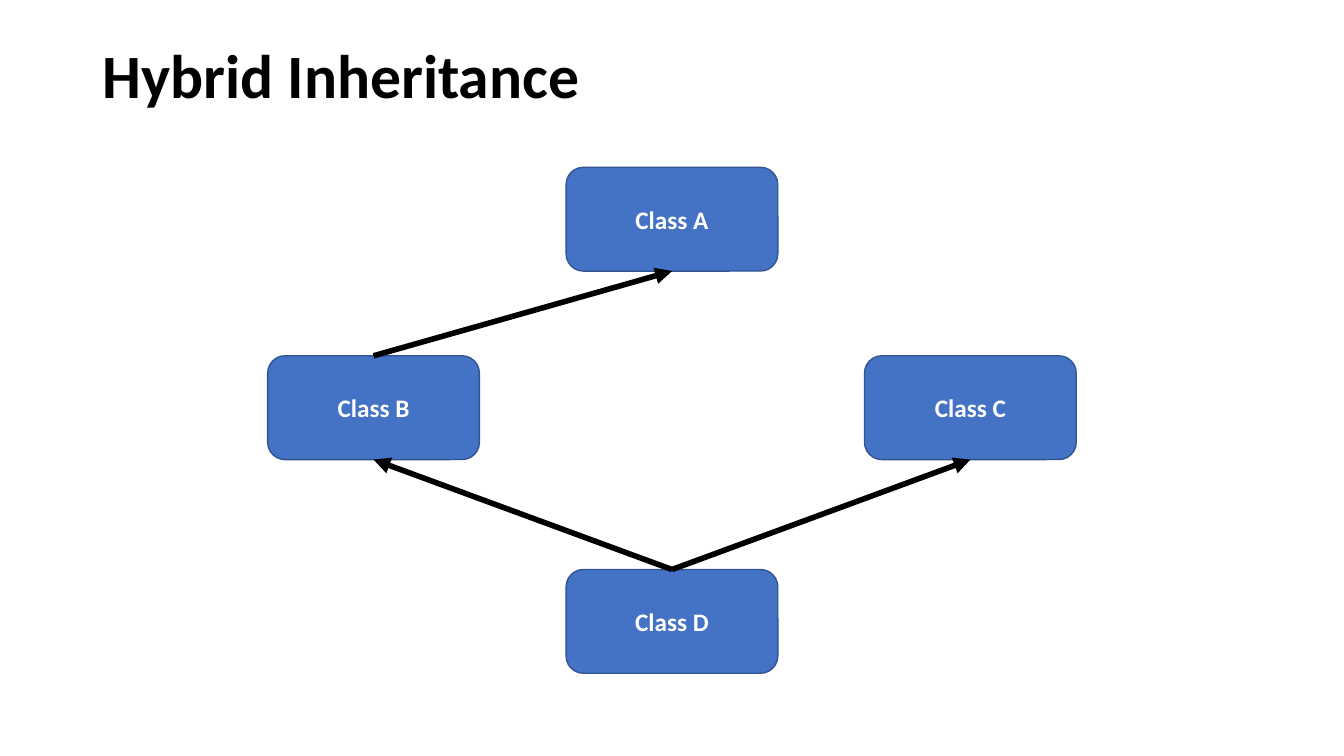
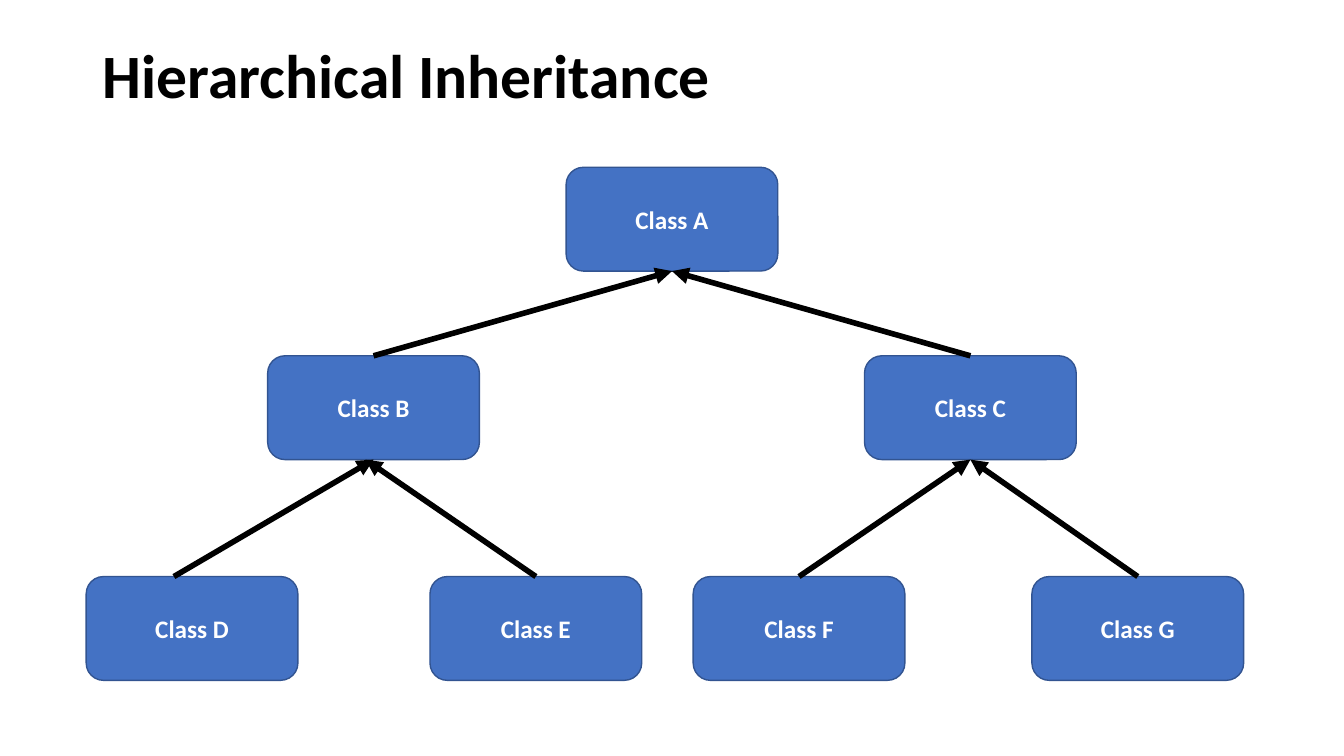
from dataclasses import dataclass

from lxml.etree import SubElement
from pptx import Presentation
from pptx.dml.color import RGBColor
from pptx.enum.shapes import MSO_CONNECTOR, MSO_SHAPE
from pptx.enum.text import MSO_ANCHOR, MSO_AUTO_SIZE, PP_ALIGN
from pptx.oxml.ns import qn
from pptx.util import Inches, Pt


@dataclass(frozen=True)
class Theme:
    face: str = "Calibri"
    ink: RGBColor = RGBColor.from_string("000000")
    fill: RGBColor = RGBColor.from_string("4472C4")
    edge: RGBColor = RGBColor.from_string("325491")
    light: RGBColor = RGBColor.from_string("FFFFFF")
    head: Pt = Pt(44)
    label: Pt = Pt(18)
    thin: Pt = Pt(1)
    thick: Pt = Pt(4)


THEME = Theme()
WIDE, HIGH = 13.33, 7.5
TITLE = (0.92, 0.4, 11.5, 1.45)
AREA = (0, 1.66, WIDE, 5.09)
NODE = (2.1, 1.03)
SIDE = 2.96  # from the middle to Class B and Class C
MID = 1.87  # from the top row to the second row

TOP = {"A": (0, 0), "B": (-SIDE, MID), "C": (SIDE, MID)}
LOW = 4.06
LEAVES = {"D": -4.76, "E": -1.35, "F": 1.26, "G": 4.62}

# Nodes: offset of the centre from the middle, top edge within the area.
# Links: child, parent, sideways shift of the start and of the tip.
SLIDES = [
    ("Hybrid Inheritance",
     TOP | {"D": (0, 3.99)},
     [("B", "A", 0, 0), ("D", "B", 0, 0), ("D", "C", 0, 0)]),
    ("Hierarchical Inheritance",
     TOP | {name: (x, LOW) for name, x in LEAVES.items()},
     [("B", "A", 0, 0), ("C", "A", 0, 0),
      ("D", "B", -0.18, 0), ("E", "B", 0, -0.08),
      ("F", "C", 0, 0), ("G", "C", 0, 0)]),
]


def style(target, values):
    for key, value in values.items():
        setattr(target, key, value)


def write(shape, text, size, color, frame, para):
    style(shape.text_frame, frame)
    shape.text_frame.text = text
    first = shape.text_frame.paragraphs[0]
    style(first, para)
    style(first.font, {"name": THEME.face, "size": size, "bold": True})
    first.font.color.rgb = color


def add_title(slide, text, box):
    title = slide.shapes.title
    places = map(Inches, box)
    style(title, dict(zip(("left", "top", "width", "height"), places)))
    write(title, text, THEME.head, THEME.ink,
          {"vertical_anchor": MSO_ANCHOR.TOP, "word_wrap": True,
           "auto_size": MSO_AUTO_SIZE.NONE},
          {"alignment": PP_ALIGN.LEFT, "line_spacing": 0.9})


def add_node(slide, text, box):
    node = slide.shapes.add_shape(MSO_SHAPE.ROUNDED_RECTANGLE,
                                  *map(Inches, box))
    node.shadow.inherit = False
    node.fill.solid()
    node.fill.fore_color.rgb = THEME.fill
    node.line.color.rgb = THEME.edge
    node.line.width = THEME.thin
    write(node, text, THEME.label, THEME.light,
          {"vertical_anchor": MSO_ANCHOR.MIDDLE, "word_wrap": True},
          {"alignment": PP_ALIGN.CENTER})
    return node


def add_arrow(slide, child, parent, start, tip):
    """Link the top of the child to the foot of the parent."""
    arrow = slide.shapes.add_connector(
        MSO_CONNECTOR.STRAIGHT,
        child.left + child.width // 2 + Inches(start), child.top,
        parent.left + parent.width // 2 + Inches(tip),
        parent.top + parent.height)
    if not start:
        arrow.begin_connect(child, 0)
    if not tip:
        arrow.end_connect(parent, 2)
    arrow.line.color.rgb = THEME.ink
    arrow.line.width = THEME.thick
    SubElement(arrow.line._get_or_add_ln(), qn("a:tailEnd"), type="triangle")
    SubElement(arrow._element.spPr, qn("a:effectLst"))


def add_tree(slide, nodes, links, box):
    left, top, width, _ = box
    wide, high = NODE
    edge = left + (width - wide) / 2
    shapes = {name: add_node(slide, f"Class {name}",
                             (edge + x, top + y, wide, high))
              for name, (x, y) in nodes.items()}
    for child, parent, start, tip in links:
        add_arrow(slide, shapes[child], shapes[parent], start, tip)


def main():
    deck = Presentation()
    style(deck, {"slide_width": Inches(WIDE), "slide_height": Inches(HIGH)})
    for text, nodes, links in SLIDES:
        slide = deck.slides.add_slide(deck.slide_layouts[5])
        add_title(slide, text, TITLE)
        add_tree(slide, nodes, links, AREA)
    deck.save("out.pptx")


if __name__ == "__main__":
    main()
